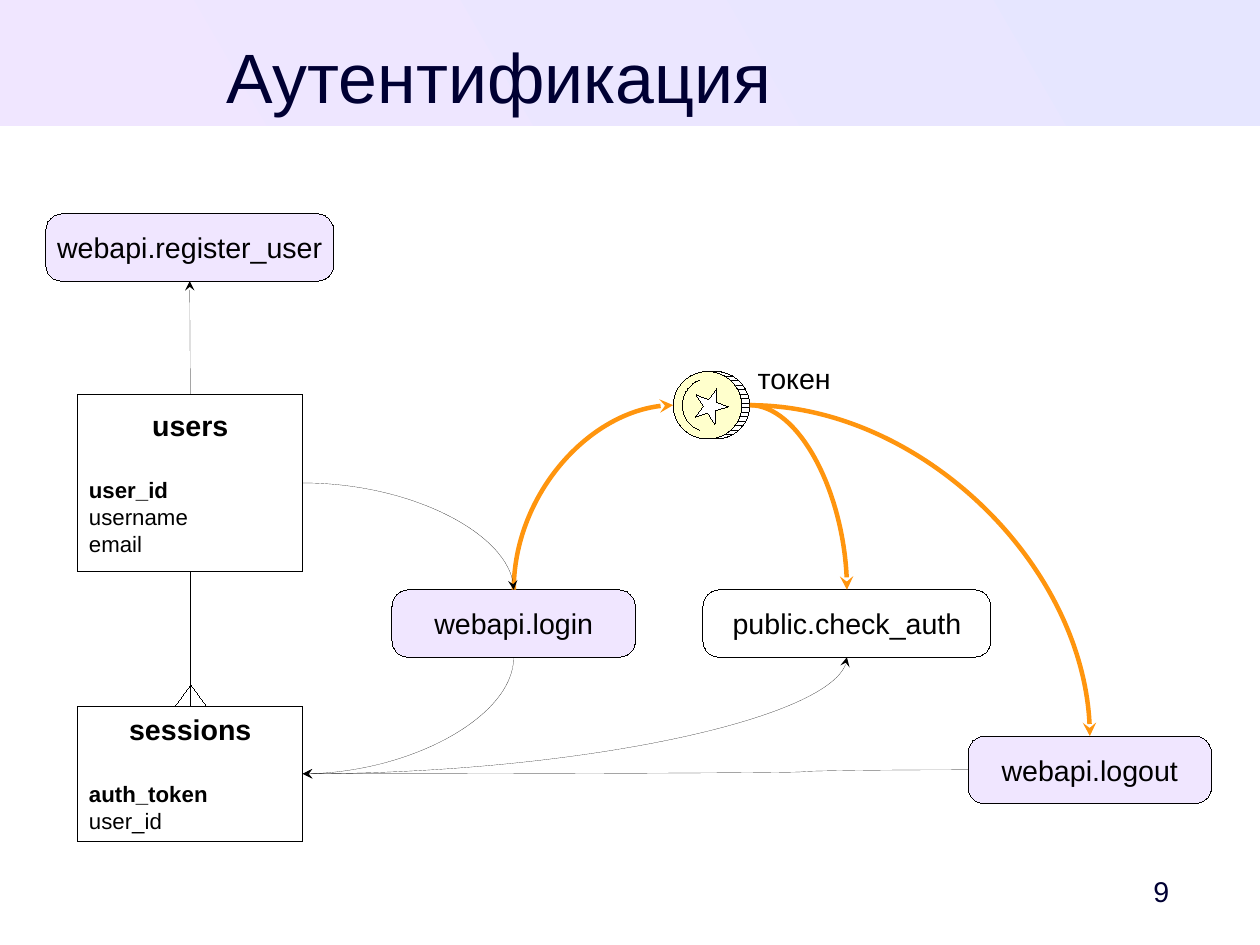
from dataclasses import dataclass
from math import cos, radians, sin
from lxml.etree import SubElement
from pptx import Presentation
from pptx.dml.color import RGBColor
from pptx.enum.dml import MSO_PATTERN
from pptx.enum.shapes import MSO_CONNECTOR as CONN, MSO_SHAPE as SHAPE
from pptx.enum.text import MSO_ANCHOR as ANCHOR, PP_ALIGN as ALIGN
from pptx.oxml.ns import qn
from pptx.util import Inches, Pt


@dataclass(frozen=True)
class Theme:
    font: str = "Arial"
    ink: str = "000000"
    heading: str = "000033"
    white: str = "FFFFFF"
    lilac: str = "F0E6FF"
    blue: str = "E6E6FF"
    gold: str = "FFFFCC"
    orange: str = "FF950E"
    title: int = 44
    label: int = 18
    field: int = 14
    gap: float = 21.5
    hair: float = 0
    thick: float = 2.83


T = Theme()
TOP, LEFT, BOTTOM, RIGHT = range(4)
SLIDE_W, SLIDE_H = 28 / 2.54, 21 / 2.54
TITLE = "Аутентификация"
TABLES = {
    "users": ((0.68, 3.45, 1.97, 1.55), 0.12, ["user_id", "username", "email"]),
    "sessions": ((0.68, 6.18, 1.97, 1.18), 0.05, ["auth_token", "user_id"]),
}
FUNCTIONS = {
    "webapi.register_user": (0.4, 1.87, 2.52, T.lilac),
    "webapi.login": (3.43, 5.16, 2.13, T.lilac),
    "public.check_auth": (6.15, 5.16, 2.52, T.white),
    "webapi.logout": (8.47, 6.44, 2.13, T.lilac),
}
FUNCTION_H = 0.59
STRAIGHT = [
    ("users", BOTTOM, "sessions", TOP, None),
    ("users", TOP, "webapi.register_user", BOTTOM, "tailEnd"),
]
CURVES = [
    ("токен", LEFT, "webapi.login", TOP, "headEnd", T.orange, T.thick),
    ("токен", RIGHT, "public.check_auth", TOP, "tailEnd", T.orange, T.thick),
    ("токен", RIGHT, "webapi.logout", TOP, "tailEnd", T.orange, T.thick),
    ("users", RIGHT, "webapi.login", TOP, "tailEnd", T.ink, T.hair),
    ("sessions", RIGHT, "webapi.login", BOTTOM, "headEnd", T.ink, T.hair),
    ("sessions", RIGHT, "public.check_auth", BOTTOM, "tailEnd", T.ink, T.hair),
    ("webapi.logout", LEFT, "sessions", RIGHT, "tailEnd", T.ink, T.hair),
]
COIN_X, COIN_Y, COIN_R = 6.19, 3.545, 0.295
RIM_X = 6.265
CROW_X, CROW_Y, CROW_W, CROW_H = 1.67, 6.18, 0.14, 0.19


def rgb(color):
    return RGBColor.from_string(color)


def inches(*values):
    return [Inches(v) for v in values]


def add_run(p, text, size, color=T.ink, bold=False):
    r = p.add_run()
    r.text = text
    r.font.name, r.font.size, r.font.bold = T.font, Pt(size), bold
    r.font.color.rgb = rgb(color)


def frame(sp, insets, anchor=ANCHOR.TOP, wrap=True):
    tf = sp.text_frame
    tf.margin_left, tf.margin_top, tf.margin_right, tf.margin_bottom = inches(*insets)
    tf.vertical_anchor, tf.word_wrap = anchor, wrap
    return tf


def stroke(sp, color=T.ink, width=T.hair):
    sp.line.color.rgb = rgb(color)
    ln = sp.element.spPr.get_or_add_ln()
    ln.set("w", str(int(Pt(width))))
    return ln


def add_shape(shapes, kind, box, color=None):
    sp = shapes.add_shape(kind, *inches(*box))
    sp.shadow.inherit = False
    stroke(sp)
    if color:
        sp.fill.solid()
        sp.fill.fore_color.rgb = rgb(color)
    else:
        sp.fill.background()
    return sp


def add_line(shapes, kind, start, end, color=T.ink, width=T.hair, arrow=None):
    c = shapes.add_connector(kind, *start, *end)
    ln = stroke(c, color, width)
    if arrow:
        SubElement(ln, qn("a:" + arrow), type="stealth")
    SubElement(c.element.spPr, qn("a:effectLst"))
    return c


def side(sp, site):
    fx, fy = [(0.5, 0), (0, 0.5), (0.5, 1), (1, 0.5)][site]
    return round(sp.left + sp.width * fx), round(sp.top + sp.height * fy)


def add_banner(s):
    sp = s.shapes.add_shape(SHAPE.RECTANGLE, *inches(0, 0, SLIDE_W, 1.1))
    sp.shadow.inherit = False
    sp.line.fill.background()
    sp.fill.gradient()
    sp.fill.gradient_angle = 210
    for stop, color in zip(sp.fill.gradient_stops, (T.blue, T.lilac)):
        stop.color.rgb = rgb(color)
    s.shapes.title.element.addprevious(sp.element)


def add_title(s):
    sp = s.shapes.title
    sp.left, sp.top, sp.width, sp.height = inches(0.47, 0.29, 7.8, 0.69)
    p = frame(sp, (0, 0, 0, 0)).paragraphs[0]
    p.alignment = ALIGN.CENTER
    add_run(p, TITLE, T.title, T.heading)


def add_label(s, text, box, insets, align, anchor, wrap, color=T.ink):
    sp = s.shapes.add_textbox(*inches(*box))
    p = frame(sp, insets, anchor, wrap).paragraphs[0]
    p.alignment = align
    add_run(p, text, T.label, color)


def add_entity(s, name, box, inset, fields):
    sp = add_shape(s.shapes, SHAPE.RECTANGLE, box, T.white)
    tf = frame(sp, (0.1, inset, 0.1, 0.05))
    p = tf.paragraphs[0]
    p.alignment = ALIGN.CENTER
    add_run(p, name, T.label, bold=True)
    for i, field in enumerate(fields):
        p = tf.add_paragraph()
        p.alignment = ALIGN.LEFT
        p.space_before = Pt(0 if i else T.gap)
        add_run(p, field, T.field, bold=i == 0)
    return sp


def add_function(s, name, x, y, w, color):
    sp = add_shape(s.shapes, SHAPE.ROUNDED_RECTANGLE, (x, y, w, FUNCTION_H), color)
    sp.adjustments[0] = 0.245
    p = frame(sp, (0.1, 0.05, 0.1, 0.05), ANCHOR.MIDDLE, False).paragraphs[0]
    p.alignment = ALIGN.CENTER
    add_run(p, name, T.label)
    return sp


def add_coin(s):
    coin = s.shapes.add_group_shape()
    arc = [(RIM_X + COIN_R * cos(radians(a)), COIN_Y + COIN_R * sin(radians(a)))
           for a in range(-90, 91, 10)]
    rim = coin.shapes.build_freeform(*inches(6.2, COIN_Y - COIN_R))
    rim.add_line_segments([inches(*pt) for pt in arc + [(6.2, COIN_Y + COIN_R)]])
    sp = rim.convert_to_shape()
    sp.shadow.inherit = False
    stroke(sp)
    sp.fill.patterned()
    sp.fill.pattern = MSO_PATTERN.HORIZONTAL
    sp.fill.fore_color.rgb, sp.fill.back_color.rgb = rgb(T.ink), rgb(T.white)
    add_shape(coin.shapes, SHAPE.OVAL, (COIN_X - 0.3, COIN_Y - COIN_R, 0.6, 2 * COIN_R), T.gold)
    shine = add_shape(coin.shapes, SHAPE.ARC, (5.97, 3.31, 0.47, 0.47))
    shine.adjustments[0], shine.adjustments[1] = 112 * 0.6, 248 * 0.6
    add_shape(coin.shapes, SHAPE.STAR_5_POINT, (6.07, 3.39, 0.3, 0.3), T.white).rotation = 20.1
    return coin


def add_links(s, nodes):
    for a, i, b, j, arrow in STRAIGHT:
        c = add_line(s.shapes, CONN.STRAIGHT, side(nodes[a], i), side(nodes[b], j), arrow=arrow)
        c.begin_connect(nodes[a], i)
        c.end_connect(nodes[b], j)
    for dx in (-CROW_W, CROW_W):
        add_line(s.shapes, CONN.STRAIGHT, inches(CROW_X + dx, CROW_Y), inches(CROW_X, CROW_Y - CROW_H))
    for a, i, b, j, arrow, color, width in CURVES:
        c = add_line(s.shapes, CONN.CURVE, side(nodes[a], i), side(nodes[b], j), color, width, arrow)
        geom = c.element.spPr.find(qn("a:prstGeom"))
        if j in (TOP, BOTTOM):
            geom.set("prst", "curvedConnector2")
        else:
            SubElement(geom.find(qn("a:avLst")), qn("a:gd"), name="adj1", fmla="val 25000")


def main():
    prs = Presentation()
    prs.slide_width = Inches(SLIDE_W)
    prs.slide_height = Inches(SLIDE_H)
    prs.element.find(qn("p:sldSz")).attrib.pop("type", None)
    s = prs.slides.add_slide(prs.slide_layouts[5])
    add_banner(s)
    add_title(s)
    nodes = {name: add_entity(s, name, *spec) for name, spec in TABLES.items()}
    nodes |= {name: add_function(s, name, *spec) for name, spec in FUNCTIONS.items()}
    nodes["токен"] = add_coin(s)
    add_links(s, nodes)
    add_label(s, "токен", (6.53, 3.11, 0.84, 0.38), (0.1, 0.05, 0.1, 0.05), ALIGN.LEFT, ANCHOR.TOP, False)
    add_label(s, "9", (9.69, 7.56, 0.87, 0.47), (0.1, 0.05, 0.33, 0.05), ALIGN.RIGHT, ANCHOR.MIDDLE, True, T.heading)
    prs.save("out.pptx")


if __name__ == "__main__":
    main()
